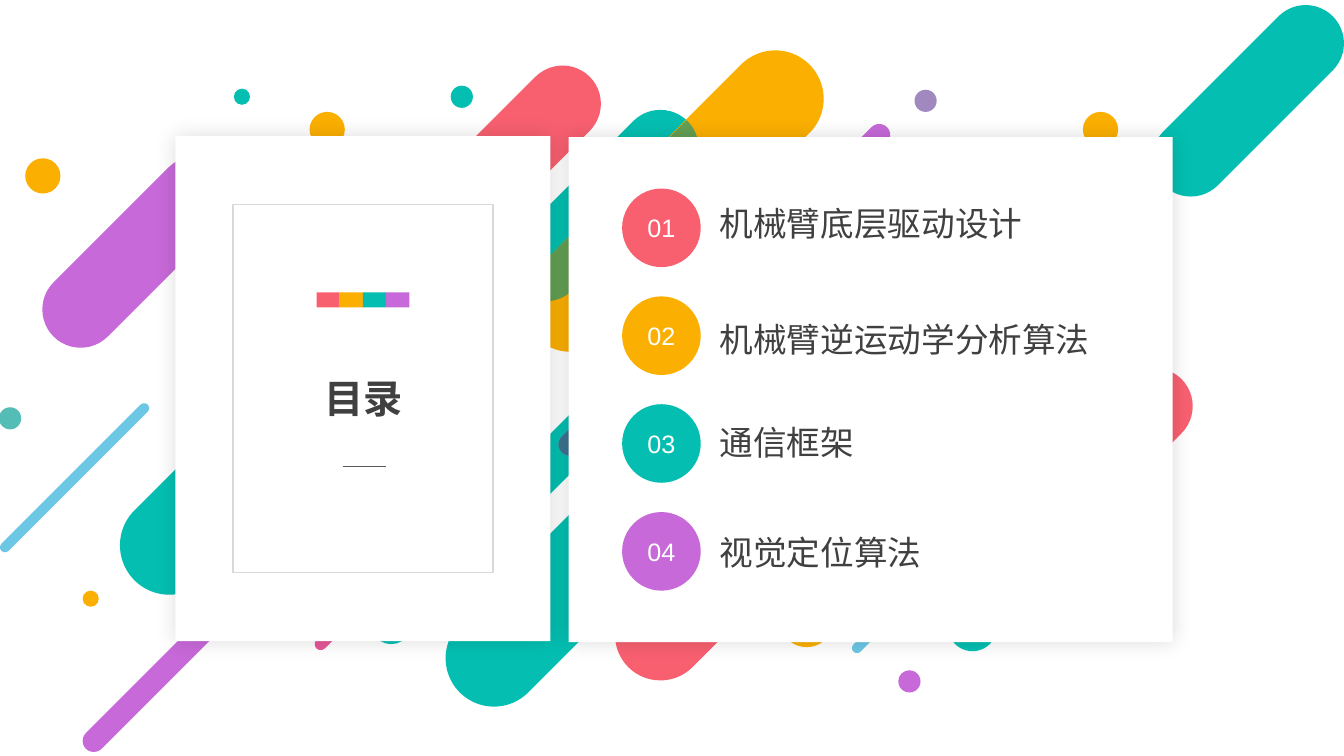
from dataclasses import dataclass
from math import cos, radians, sin, sqrt

from lxml.etree import SubElement
from pptx import Presentation
from pptx.dml.color import RGBColor
from pptx.enum.shapes import MSO_CONNECTOR, MSO_SHAPE
from pptx.enum.text import MSO_ANCHOR, MSO_AUTO_SIZE, PP_ALIGN
from pptx.oxml.ns import qn
from pptx.util import Inches, Pt


@dataclass(frozen=True)
class Theme:
    coral: str = "F86070"
    amber: str = "FBAF01"
    teal: str = "04BFB1"
    purple: str = "C769D8"
    pink: str = "E5579A"
    sky: str = "6CC7E5"
    lavender: str = "A188BE"
    sage: str = "54BDB5"
    olive: str = "649F53"
    slate: str = "3E738F"
    white: str = "FFFFFF"
    text: str = "404040"
    frame: str = "D9D9D9"
    rule: str = "595959"
    font: str = "Arial"
    title_size: int = 28
    item_size: int = 24
    number_size: int = 18


theme = Theme()
accents = [theme.coral, theme.amber, theme.teal, theme.purple]


def paint(shape, color):
    shape.shadow.inherit = False
    shape.fill.solid()
    shape.fill.fore_color.rgb = RGBColor.from_string(color)
    shape.line.fill.background()


def write(shape, text, size, color, alignment, anchor, bold=False):
    frame = shape.text_frame
    frame.text = text
    frame.word_wrap = True
    frame.auto_size = MSO_AUTO_SIZE.NONE
    frame.vertical_anchor = anchor
    paragraph = frame.paragraphs[0]
    paragraph.alignment = alignment
    paragraph.font.name = theme.font
    paragraph.font.size = Pt(size)
    paragraph.font.bold = bold
    paragraph.font.color.rgb = RGBColor.from_string(color)


presentation = Presentation()
presentation.slide_width = Inches(13.33)
presentation.slide_height = Inches(7.5)
slide = presentation.slides.add_slide(presentation.slide_layouts[5])
shapes = slide.shapes

capsules = [
    (4.63, 4.94, 1.45, 0.06, theme.pink),
    (6.55, 1.47, 1.14, 0.38, theme.teal),
    (12.95, 0.43, 1.14, 0.38, theme.teal),
    (3.13, 3.96, 1.45, 0.49, theme.teal),
    (5.58, 1.03, 1.14, 0.38, theme.coral),
    (1.94, 1.93, 1.14, 0.38, theme.purple),
    (11.45, 4.03, 1.14, 0.38, theme.coral),
    (8.8, 5.35, 0.8, 0.27, theme.amber),
    (6.93, 4.5, 2.03, 0.48, theme.teal),
    (8.45, 4.4, 1.9, 0.45, theme.coral),
    (7.69, 0.98, 2.03, 0.48, theme.amber),
    (5.89, 4.17, 2.01, 0.21, theme.teal),
    (8.72, 1.34, 3.07, 0.11, theme.purple),
    (5.99, 4.07, 0.34, 0.11, theme.slate),
    (4, 4.28, 3.07, 0.11, theme.purple),
    (9.88, 5.05, 1.38, 0.05, theme.sky),
    (1.43, 4.05, 1.38, 0.05, theme.sky),
]
for end_x, end_y, run, radius, color in capsules:
    length = run * sqrt(2) + 2 * radius
    capsule = shapes.add_shape(
        MSO_SHAPE.ROUNDED_RECTANGLE,
        Inches(end_x - run / 2 - length / 2), Inches(end_y + run / 2 - radius),
        Inches(length), Inches(2 * radius))
    capsule.adjustments[0] = 0.5
    capsule.rotation = -45
    paint(capsule, color)

overlap_arcs = [
    (5.66, 3.01, 0.48, 225, 190),
    (5.41, 2.61, 0.38, 127, 45),
    (6.55, 1.47, 0.38, 45, -47),
]
overlap_points = []
for center_x, center_y, radius, start, end in overlap_arcs:
    for step in range(13):
        angle = radians(start + (end - start) * step / 12)
        overlap_points.append((Inches(center_x + radius * cos(angle)),
                               Inches(center_y + radius * sin(angle))))
builder = shapes.build_freeform(*overlap_points[0])
builder.add_line_segments(overlap_points[1:], close=True)
paint(builder.convert_to_shape(), theme.olive)

dots = [
    (9.07, 0.89, 0.22, theme.lavender),
    (9.4, 5.97, 0.49, theme.teal),
    (4.47, 0.85, 0.22, theme.teal),
    (-0.01, 4.04, 0.22, theme.sage),
    (8.91, 6.65, 0.22, theme.purple),
    (3.07, 1.11, 0.35, theme.amber),
    (0.25, 1.57, 0.35, theme.amber),
    (10.74, 1.11, 0.35, theme.amber),
    (2.32, 0.88, 0.16, theme.teal),
    (0.82, 5.86, 0.16, theme.amber),
]
for left, top, diameter, color in dots:
    dot = shapes.add_shape(MSO_SHAPE.OVAL, Inches(left), Inches(top),
                           Inches(diameter), Inches(diameter))
    paint(dot, color)

for left, top, width in [(1.74, 1.35, 3.72), (5.64, 1.36, 5.99)]:
    card = shapes.add_shape(MSO_SHAPE.RECTANGLE, Inches(left), Inches(top),
                            Inches(width), Inches(5.01))
    paint(card, theme.white)
    effects = card.element.spPr.find(qn("a:effectLst"))
    shadow = SubElement(effects, qn("a:outerShdw"), blurRad=str(Pt(15)),
                        dist="0", dir="0", algn="ctr", rotWithShape="0")
    shadow_color = SubElement(shadow, qn("a:srgbClr"), val="000000")
    SubElement(shadow_color, qn("a:alpha"), val="15000")

color_strip = shapes.add_group_shape()
for index, color in enumerate(accents):
    block = color_strip.shapes.add_shape(
        MSO_SHAPE.RECTANGLE, Inches(3.14 + 0.23 * index), Inches(2.9),
        Inches(0.23), Inches(0.15))
    paint(block, color)

title_frame = shapes.add_shape(MSO_SHAPE.RECTANGLE, Inches(2.31), Inches(2.03),
                               Inches(2.58), Inches(3.65))
title_frame.shadow.inherit = False
title_frame.fill.background()
title_frame.line.color.rgb = RGBColor.from_string(theme.frame)
title_frame.line.width = Pt(1)

title = shapes.title
title.left, title.top = Inches(1.97), Inches(3.66)
title.width, title.height = Inches(3.28), Inches(0.57)
write(title, "目录", theme.title_size, theme.text, PP_ALIGN.CENTER, MSO_ANCHOR.TOP, True)
shapes.element.append(title.element)

title_rule = shapes.add_connector(MSO_CONNECTOR.STRAIGHT, Inches(3.4), Inches(4.63),
                                  Inches(3.83), Inches(4.63))
title_rule.line.color.rgb = RGBColor.from_string(theme.rule)
title_rule.line.width = Pt(0.5)
SubElement(title_rule.element.spPr, qn("a:effectLst"))

items = [
    ("机械臂底层驱动设计", 1.96),
    ("机械臂逆运动学分析算法", 3.11),
    ("通信框架", 4.14),
    ("视觉定位算法", 5.23),
]
for index, ((label, label_top), color) in enumerate(zip(items, accents)):
    badge = shapes.add_shape(MSO_SHAPE.OVAL, Inches(6.17), Inches(1.87 + 1.07 * index),
                             Inches(0.78), Inches(0.78))
    paint(badge, color)
    write(badge, f"{index + 1:02}", theme.number_size, theme.white,
          PP_ALIGN.CENTER, MSO_ANCHOR.MIDDLE)
    label_box = shapes.add_textbox(Inches(7.04), Inches(label_top), Inches(4.38), Inches(0.5))
    write(label_box, label, theme.item_size, theme.text, PP_ALIGN.LEFT, MSO_ANCHOR.TOP)

presentation.save("out.pptx")
